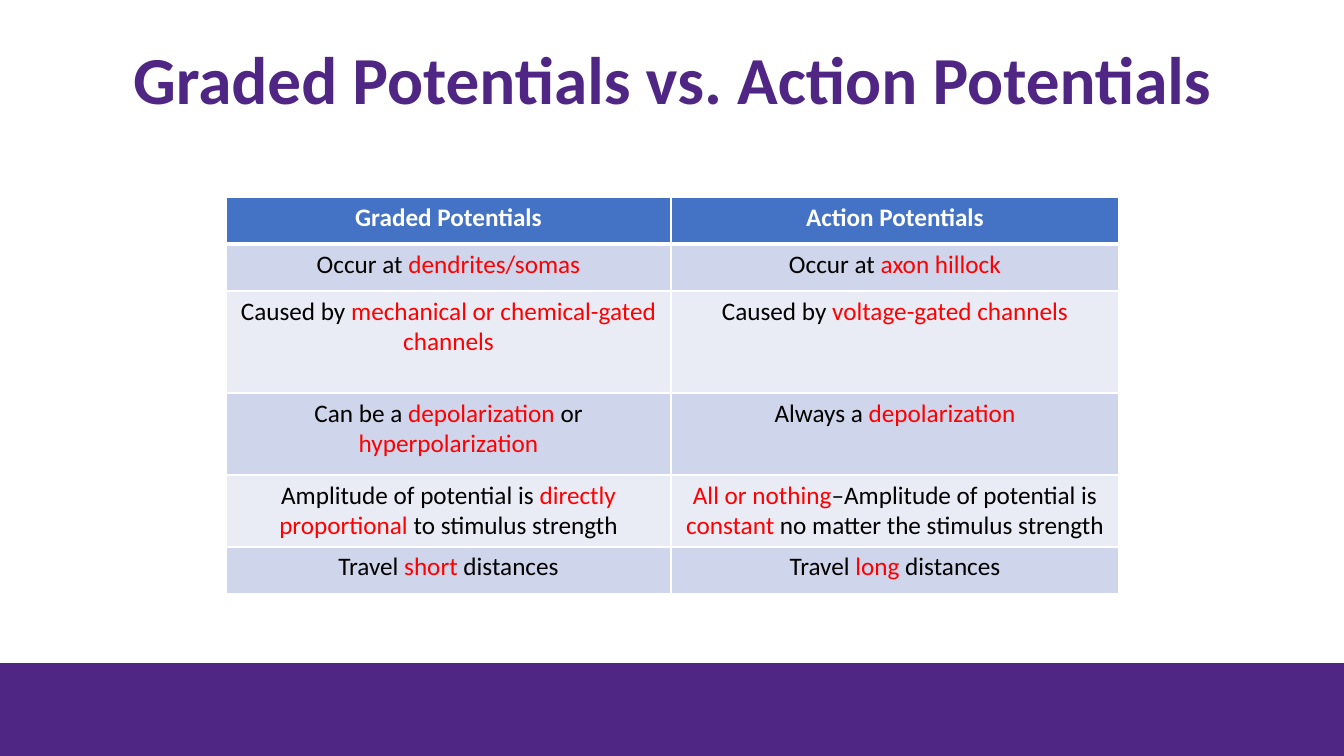
from dataclasses import dataclass

from lxml import etree
from pptx import Presentation
from pptx.dml.color import RGBColor
from pptx.enum import shapes, text
from pptx.oxml import ns
from pptx.util import Pt

EMU_PER_PX = 914400 / 100.8
FONT = "Calibri"

PURPLE = RGBColor(0x4F, 0x26, 0x83)
BLUE = RGBColor(0x44, 0x72, 0xC4)
DARK_BAND = RGBColor(0xCF, 0xD5, 0xEA)
LIGHT_BAND = RGBColor(0xE9, 0xEB, 0xF5)
WHITE = RGBColor(0xFF, 0xFF, 0xFF)
BLACK = RGBColor(0x00, 0x00, 0x00)
RED = RGBColor(0xFF, 0x00, 0x00)


@dataclass
class Comparison:
    """One table row; words between asterisks are key terms."""
    height: int
    graded: str
    action: str


HEADER = Comparison(47, "Graded Potentials", "Action Potentials")
COMPARISONS = [
    Comparison(47, "Occur at *dendrites/somas*", "Occur at *axon hillock*"),
    Comparison(102, "Caused by *mechanical or chemical-gated channels*",
               "Caused by *voltage-gated channels*"),
    Comparison(82, "Can be a *depolarization* or *hyperpolarization*",
               "Always a *depolarization*"),
    Comparison(72, "Amplitude of potential is *directly proportional* to stimulus strength",
               "*All or nothing*–Amplitude of potential is *constant* no matter the stimulus strength"),
    Comparison(47, "Travel *short* distances", "Travel *long* distances"),
]
COLUMN_WIDTHS = (445, 448)


def px(length: int) -> int:
    return round(length * EMU_PER_PX)


def place(box, left: int, top: int, width: int, height: int) -> None:
    box.left, box.top, box.width, box.height = map(px, (left, top, width, height))


def set_borders(cell, top: int, bottom: int) -> None:
    properties = cell._tc.get_or_add_tcPr()
    for side, points in (("L", 1), ("R", 1), ("T", top), ("B", bottom)):
        line = etree.SubElement(properties, ns.qn(f"a:ln{side}"), w=str(Pt(points)))
        fill = etree.SubElement(line, ns.qn("a:solidFill"))
        etree.SubElement(fill, ns.qn("a:srgbClr"), val=str(WHITE))


def fill_cell(cell, wording: str, fill: RGBColor, color: RGBColor, bold: bool) -> None:
    cell.fill.solid()
    cell.fill.fore_color.rgb = fill
    para = cell.text_frame.paragraphs[0]
    para.alignment = text.PP_ALIGN.CENTER
    para.font.name, para.font.size, para.font.bold = FONT, Pt(18), bold
    for index, part in enumerate(wording.split("*")):
        if part:
            span = para.add_run()
            span.text = part
            span.font.color.rgb = RED if index % 2 else color


def add_title(page, wording: str) -> None:
    title = page.shapes.title
    place(title, 93, 22, 1159, 121)
    title.text_frame.text = wording
    title.text_frame.vertical_anchor = text.MSO_ANCHOR.MIDDLE
    para = title.text_frame.paragraphs[0]
    para.alignment = text.PP_ALIGN.CENTER
    para.line_spacing = 0.9
    para.font.name, para.font.size, para.font.bold = FONT, Pt(48), True
    para.font.color.rgb = PURPLE


def add_footer_band(page) -> None:
    band = page.shapes.add_shape(shapes.MSO_SHAPE.RECTANGLE, 0, px(663), px(1344), px(93))
    band.shadow.inherit = False
    band.fill.solid()
    band.fill.fore_color.rgb = PURPLE
    band.line.fill.background()


def add_comparison_table(page) -> None:
    rows = [HEADER, *COMPARISONS]
    table = page.shapes.add_table(
        len(rows), len(COLUMN_WIDTHS), px(226), px(197),
        px(sum(COLUMN_WIDTHS)), px(sum(row.height for row in rows))).table
    for column, width in zip(table.columns, COLUMN_WIDTHS):
        column.width = px(width)
    for index, row in enumerate(rows):
        table.rows[index].height = px(row.height)
        is_header = index == 0
        fill = BLUE if is_header else DARK_BAND if index % 2 else LIGHT_BAND
        for cell, wording in zip(table.rows[index].cells, (row.graded, row.action)):
            set_borders(cell, top=3 if index == 1 else 1, bottom=3 if is_header else 1)
            fill_cell(cell, wording, fill, WHITE if is_header else BLACK, is_header)


def main() -> None:
    deck = Presentation()
    deck.slide_width, deck.slide_height = px(1344), px(756)
    page = deck.slides.add_slide(deck.slide_layouts.get_by_name("Title Only"))
    add_title(page, "Graded Potentials vs. Action Potentials")
    add_footer_band(page)
    add_comparison_table(page)
    deck.save("out.pptx")


if __name__ == "__main__":
    main()
